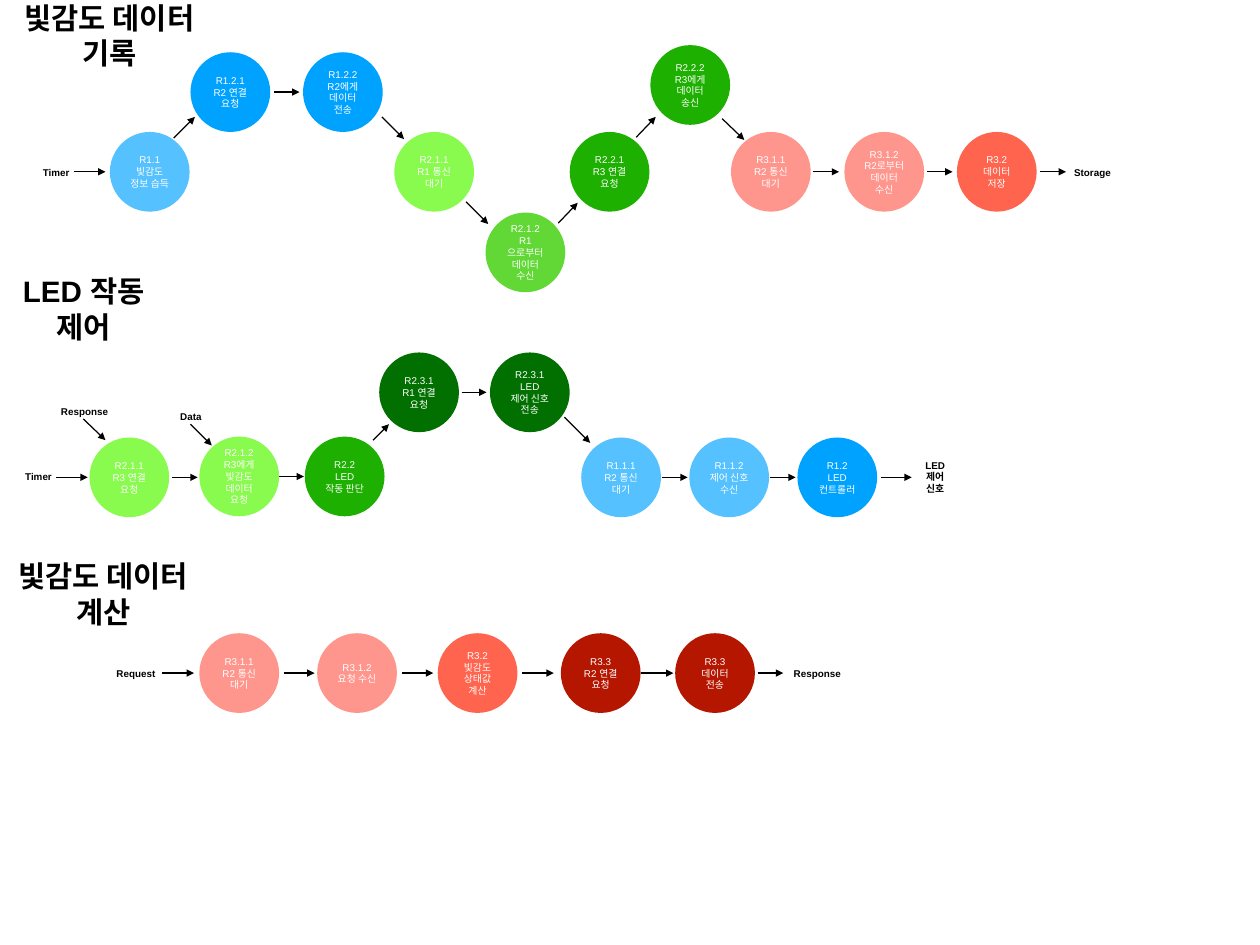
from dataclasses import dataclass

from lxml import etree
from pptx import Presentation
from pptx.dml.color import RGBColor
from pptx.enum.shapes import MSO_CONNECTOR, MSO_SHAPE
from pptx.enum.text import MSO_ANCHOR, MSO_AUTO_SIZE, PP_ALIGN
from pptx.oxml.ns import qn
from pptx.util import Pt

STRAIGHT = MSO_CONNECTOR.STRAIGHT
OVAL = MSO_SHAPE.OVAL
MIDDLE = MSO_ANCHOR.MIDDLE
FIXED = MSO_AUTO_SIZE.NONE
CENTER = PP_ALIGN.CENTER

PX = 9144
SLIDE_WIDTH, SLIDE_HEIGHT = 1422, 1067
DIAMETER = 90
INSET = 6
FOLD_INSET = 3
TITLE_HEIGHT = 53
TITLE_FOLD = 62
TITLE_SIZE, BODY_SIZE = 24, 8
FONT = "Arial"
COLORS = {
    "black": "000000",
    "white": "FFFFFF",
    "sky": "56C1FF",
    "blue": "00A2FF",
    "lime": "89FA4E",
    "leaf": "61D836",
    "green": "1EB001",
    "forest": "027001",
    "pink": "FF968D",
    "coral": "FF644E",
    "crimson": "B51600",
}


@dataclass(frozen=True)
class Step:
    text: str
    left: int
    top: int
    color: str


@dataclass(frozen=True)
class Label:
    text: str
    left: int
    top: int
    width: int
    height: int = 25
    fold: int = 0


@dataclass(frozen=True)
class Arrow:
    x1: int
    y1: int
    x2: int
    y2: int


@dataclass(frozen=True)
class Flow:
    title: Label
    steps: list[Step]
    labels: list[Label]
    arrows: list[Arrow]


def level_arrows(y: int, *spans: tuple[int, int]) -> list[Arrow]:
    return [Arrow(start, y, end, y) for start, end in spans]


def flow_title(text: str, left: int, top: int, width: int) -> Label:
    return Label(text, left, top, width, TITLE_HEIGHT, TITLE_FOLD)


FLOWS = [
    Flow(
        flow_title("빛감도 데이터 기록", 22, 13, 262),
        [
            Step("R1.1\n빛감도 정보 습득", 124, 149, "sky"),
            Step("R1.2.1\nR2 연결 요청", 215, 59, "blue"),
            Step("R1.2.2\nR2에게 데이터 전송", 342, 59, "blue"),
            Step("R2.1.1\nR1 통신 대기", 445, 149, "lime"),
            Step("R2.1.2\nR1으로부터\n데이터 수신", 548, 240, "leaf"),
            Step("R2.2.1\nR3 연결 요청", 643, 149, "green"),
            Step("R2.2.2\nR3에게\n데이터 송신", 734, 51, "green"),
            Step("R3.1.1\nR2 통신 대기", 825, 149, "pink"),
            Step("R3.1.2\nR2로부터\n데이터 수신", 953, 149, "pink"),
            Step("R3.2\n데이터 저장", 1080, 149, "coral"),
        ],
        [Label("Timer", 42, 182, 43), Label("Storage", 1206, 182, 54)],
        level_arrows(194, (83, 119), (918, 947), (1046, 1075), (1174, 1203))
        + level_arrows(104, (309, 338))
        + [
            Arrow(196, 156, 220, 132),
            Arrow(431, 132, 456, 157),
            Arrow(526, 228, 551, 253),
            Arrow(630, 252, 652, 229),
            Arrow(718, 155, 740, 132),
            Arrow(815, 134, 840, 158),
        ],
    ),
    Flow(
        flow_title("LED 작동 제어", 18, 322, 212),
        [
            Step("R2.1.1\nR3 연결 요청", 101, 494, "lime"),
            Step("R2.1.2\nR3에게\n빛감도 데이터\n요청", 225, 493, "lime"),
            Step("R2.2\nLED\n작동 판단", 344, 493, "green"),
            Step("R2.3.1\nR1 연결 요청", 428, 398, "forest"),
            Step("R2.3.1\nLED\n제어 신호 전송", 553, 398, "forest"),
            Step("R1.1.1\nR2 통신 대기", 656, 494, "sky"),
            Step("R1.1.2\n제어 신호 수신", 778, 494, "sky"),
            Step("R1.2\nLED\n컨트롤러", 900, 494, "blue"),
        ],
        [
            Label("Timer", 22, 526, 43),
            Label("Response", 63, 452, 65),
            Label("Data", 197, 458, 37),
            Label("LED\n제어 신호", 1039, 519, 54, 39, 24),
        ],
        level_arrows(539, (63, 99), (194, 223), (747, 776), (869, 898), (994, 1029))
        + level_arrows(538, (314, 343))
        + level_arrows(443, (521, 549))
        + [
            Arrow(94, 473, 119, 497),
            Arrow(215, 479, 239, 503),
            Arrow(421, 497, 439, 479),
            Arrow(637, 471, 666, 500),
        ],
    ),
    Flow(
        flow_title("빛감도 데이터 계산", 15, 644, 262),
        [
            Step("R3.1.1\nR2 통신 대기", 225, 715, "pink"),
            Step("R3.1.2\n요청 수신", 358, 715, "pink"),
            Step("R3.2\n빛감도 상태값\n계산", 494, 715, "coral"),
            Step("R3.3\nR2 연결 요청", 633, 715, "crimson"),
            Step("R3.3\n데이터 전송", 762, 715, "crimson"),
        ],
        [Label("Request", 125, 748, 57), Label("Response", 890, 748, 65)],
        level_arrows(
            760, (183, 219), (320, 355), (454, 489), (589, 625), (724, 760), (855, 884)
        ),
    ),
]


def rgb(color: str) -> RGBColor:
    return RGBColor.from_string(COLORS[color])


def write(shape, text: str, size: int, color: str, bold: bool, fold: int = 0) -> None:
    frame = shape.text_frame
    frame.text = text
    frame.auto_size = FIXED
    frame.vertical_anchor = MIDDLE
    frame.margin_top = frame.margin_bottom = INSET * PX
    frame.margin_left = (FOLD_INSET if fold else INSET) * PX
    frame.margin_right = (fold or INSET) * PX
    for paragraph in frame.paragraphs:
        paragraph.alignment = CENTER
        for run in paragraph.runs:
            run.font.name = FONT
            run.font.size = Pt(size)
            run.font.bold = bold
            run.font.color.rgb = rgb(color)


def draw_step(slide, step: Step) -> None:
    circle = slide.shapes.add_shape(
        OVAL, step.left * PX, step.top * PX, DIAMETER * PX, DIAMETER * PX
    )
    circle.shadow.inherit = False
    circle.fill.solid()
    circle.fill.fore_color.rgb = rgb(step.color)
    circle.line.fill.background()
    write(circle, step.text, BODY_SIZE, "white", False)
    circle.text_frame.word_wrap = True


def draw_label(slide, label: Label, size: int, holder=None) -> None:
    box = holder or slide.shapes.add_textbox(0, 0, PX, PX)
    box.left, box.top = label.left * PX, label.top * PX
    box.width, box.height = label.width * PX, label.height * PX
    write(box, label.text, size, "black", True, label.fold)
    box.text_frame.word_wrap = label.fold > 0


def draw_arrow(slide, arrow: Arrow) -> None:
    connector = slide.shapes.add_connector(
        STRAIGHT, arrow.x1 * PX, arrow.y1 * PX, arrow.x2 * PX, arrow.y2 * PX
    )
    connector.line.color.rgb = rgb("black")
    connector.line.width = Pt(1)
    etree.SubElement(connector.line._get_or_add_ln(), qn("a:tailEnd"), type="triangle")
    etree.SubElement(connector._element.spPr, qn("a:effectLst"))


def main() -> None:
    deck = Presentation()
    deck.slide_width, deck.slide_height = SLIDE_WIDTH * PX, SLIDE_HEIGHT * PX
    slide = deck.slides.add_slide(deck.slide_layouts[5])
    for index, flow in enumerate(FLOWS):
        draw_label(slide, flow.title, TITLE_SIZE, None if index else slide.shapes.title)
        for arrow in flow.arrows:
            draw_arrow(slide, arrow)
        for step in flow.steps:
            draw_step(slide, step)
        for label in flow.labels:
            draw_label(slide, label, BODY_SIZE)
    deck.save("out.pptx")


if __name__ == "__main__":
    main()
